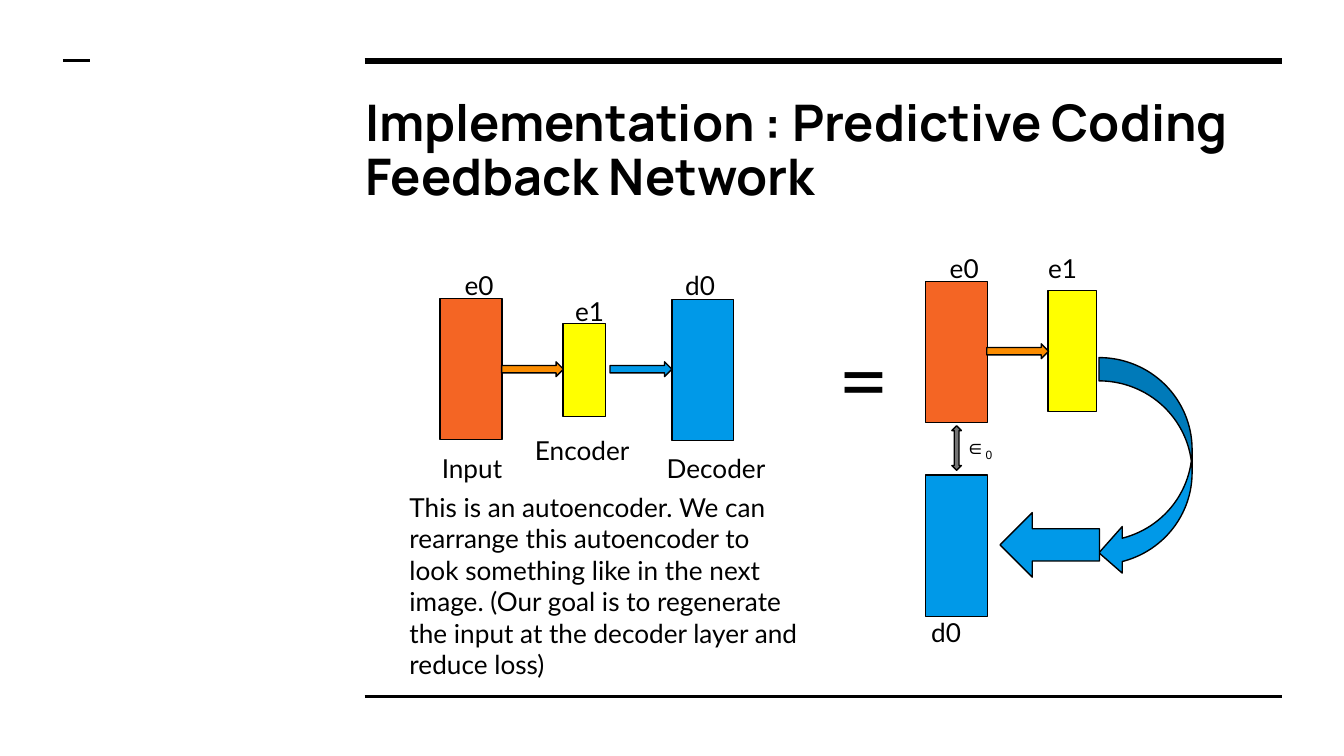
from lxml import etree
from pptx import Presentation
from pptx.dml.color import RGBColor
from pptx.enum.shapes import MSO_CONNECTOR, MSO_SHAPE
from pptx.enum.text import MSO_ANCHOR, MSO_AUTO_SIZE, PP_ALIGN
from pptx.oxml.ns import qn
from pptx.util import Cm, Pt

BLACK, ORANGE, AMBER = "000000", "F46524", "FB8C00"
YELLOW, BLUE, GREY = "FFFF00", "0099E8", "757575"
LAYER_W, LAYER_H = 1.17, 2.67
ARROW_W, ARROW_H = 1.17, 0.28


def color(target, value):
    """Apply a hex colour to a fill or a font."""
    if hasattr(target, "solid"):
        target.solid()
        target.fore_color.rgb = RGBColor.from_string(value)
    else:
        target.color.rgb = RGBColor.from_string(value)


def add_rule(slide, left, right, y, weight):
    """Draw a horizontal black rule."""
    rule = slide.shapes.add_connector(
        MSO_CONNECTOR.STRAIGHT, Cm(left), Cm(y), Cm(right), Cm(y))
    color(rule.line.fill, BLACK)
    rule.line.width = Pt(weight)
    properties = rule._element.find(qn("p:spPr"))
    etree.SubElement(properties, qn("a:effectLst"))


def add_block(slide, kind, left, top, width, height, fill):
    """Draw an outlined preset shape."""
    block = slide.shapes.add_shape(kind, Cm(left), Cm(top), Cm(width), Cm(height))
    block.shadow.inherit = False
    color(block.fill, fill)
    color(block.line.fill, BLACK)
    block.line.width = Pt(0.75)


def set_margins(frame):
    """Give a text frame equal insets and wrapping."""
    frame.word_wrap = True
    frame.margin_left = frame.margin_right = Cm(0.25)
    frame.margin_top = frame.margin_bottom = Cm(0.25)


def add_run(paragraph, text, size, font, bold=False):
    """Append a formatted black run and return it."""
    run = paragraph.add_run()
    run.text = text
    run.font.size, run.font.name, run.font.bold = Pt(size), font, bold
    color(run.font, BLACK)
    return run


def add_text(slide, text, left, top, width=1.42, height=1.12, size=14, font="Lato"):
    """Add a text box and return its paragraph."""
    box = slide.shapes.add_textbox(Cm(left), Cm(top), Cm(width), Cm(height))
    set_margins(box.text_frame)
    paragraph = box.text_frame.paragraphs[0]
    add_run(paragraph, text, size, font)
    return paragraph


def add_title(slide, text):
    """Place and format the slide title."""
    title = slide.shapes.title
    title.left, title.top, title.width, title.height = Cm(6.65), Cm(1.6), Cm(17.55), Cm(1.75)
    frame = title.text_frame
    set_margins(frame)
    frame.auto_size = MSO_AUTO_SIZE.NONE
    frame.vertical_anchor = MSO_ANCHOR.TOP
    paragraph = frame.paragraphs[0]
    paragraph.alignment = PP_ALIGN.LEFT
    paragraph.line_spacing = 0.9
    add_run(paragraph, text, 27, "Manrope", bold=True)


def add_autoencoder(slide):
    """Draw the left diagram with its labels and explanation."""
    add_block(slide, MSO_SHAPE.RECTANGLE, 8.32, 5.64, LAYER_W, LAYER_H, ORANGE)
    add_block(slide, MSO_SHAPE.RECTANGLE, 10.64, 6.12, 0.81, 1.76, YELLOW)
    add_block(slide, MSO_SHAPE.RECTANGLE, 12.7, 5.66, LAYER_W, LAYER_H, BLUE)
    for left, fill in ((9.48, AMBER), (11.53, BLUE)):
        add_block(slide, MSO_SHAPE.RIGHT_ARROW, left, 6.84, ARROW_W, ARROW_H, fill)
    for name, left, top in (("e0", 8.53, 4.85), ("e1", 10.62, 5.33), ("d0", 12.7, 4.85)):
        add_text(slide, name, left, top)
    for name, left, top in (("Input", 8.1, 8.31), ("Encoder", 9.86, 7.96), ("Decoder", 12.35, 8.31)):
        add_text(slide, name, left, top, width=2.49)
    add_text(slide, "This is an autoencoder. We can rearrange this autoencoder to look "
             "something like in the next image. (Our goal is to regenerate the input "
             "at the decoder layer and reduce loss)", 7.49, 9.04, 7.85, 4.11)


def add_feedback_network(slide):
    """Draw the right diagram with its labels and error term."""
    for top, fill in ((5.32, ORANGE), (8.98, BLUE)):
        add_block(slide, MSO_SHAPE.RECTANGLE, 17.49, top, LAYER_W, LAYER_H, fill)
    add_block(slide, MSO_SHAPE.RECTANGLE, 19.81, 5.49, 0.91, 2.29, YELLOW)
    add_block(slide, MSO_SHAPE.RIGHT_ARROW, 18.65, 6.5, ARROW_W, ARROW_H, AMBER)
    add_block(slide, MSO_SHAPE.CURVED_LEFT_ARROW, 20.77, 6.76, 1.76, 4.13, BLUE)
    add_block(slide, MSO_SHAPE.LEFT_ARROW, 18.9, 9.69, 1.88, 1.22, BLUE)
    add_block(slide, MSO_SHAPE.UP_DOWN_ARROW, 17.99, 8.05, 0.18, 0.84, GREY)
    for name, left, top in (("e0", 17.7, 4.52), ("e1", 19.56, 4.52), ("d0", 17.35, 11.41)):
        add_text(slide, name, left, top)
    error = add_text(slide, "∈", 17.99, 7.87, 1.88, 0.99, size=11, font="Arial")
    error.line_spacing = 1.15
    subscript = add_run(error, "0", 11, "Arial")
    subscript.font._element.set("baseline", "-25000")


def main():
    """Build and save the slide."""
    presentation = Presentation()
    presentation.slide_width, presentation.slide_height = Cm(25.4), Cm(14.29)
    slide = presentation.slides.add_slide(presentation.slide_layouts[5])
    for rule in ((6.89, 24.23, 1.15, 3), (6.89, 24.23, 13.16, 1.5), (1.19, 1.7, 1.15, 1.5)):
        add_rule(slide, *rule)
    add_title(slide, "Implementation : Predictive Coding Feedback Network")
    add_feedback_network(slide)
    add_autoencoder(slide)
    add_text(slide, "=", 15.6, 5.89, 1.88, 2.51, size=47)
    presentation.save("out.pptx")


main()
